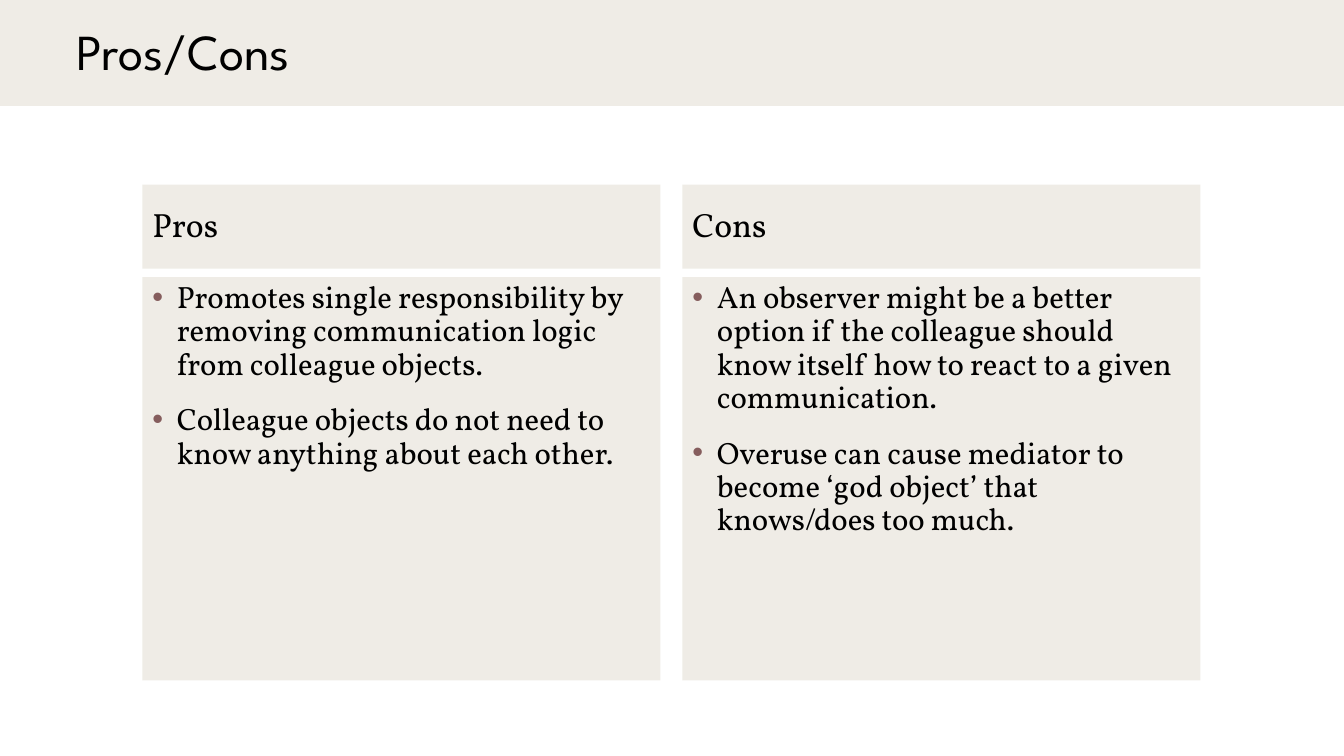
import dataclasses

import pptx
import pptx.dml.color
import pptx.enum.shapes
import pptx.enum.text
import pptx.oxml
import pptx.oxml.ns
import pptx.util

Pt = pptx.util.Pt
RGB = pptx.dml.color.RGBColor.from_string
ANCHOR = pptx.enum.text.MSO_ANCHOR
NS = pptx.oxml.ns.nsdecls("a")


@dataclasses.dataclass(frozen=True)
class Theme:
    panel: str = "E9E5DC"
    panel_alpha: int = 70000
    ink: str = "000000"
    bullet: str = "855D5D"
    title_font: str = "League Spartan"
    body_font: str = "Vollkorn"
    title_size: int = 36
    heading_size: int = 24
    body_size: int = 22


class Deck:
    """Hold the theme and the current slide, and draw elements on it."""

    def __init__(self, prs, theme):
        self.theme = theme
        self.s = prs.slides.add_slide(prs.slide_layouts[6])

    def panel(self, x, y, w, h):
        sp = self.s.shapes.add_shape(
            pptx.enum.shapes.MSO_SHAPE.RECTANGLE, Pt(x), Pt(y), Pt(w), Pt(h))
        sp.shadow.inherit = False
        sp.line.fill.background()
        sp.fill.solid()
        sp.fill.fore_color.rgb = RGB(self.theme.panel)
        color = sp.fill._xPr.find(".//" + pptx.oxml.ns.qn("a:srgbClr"))
        color.append(pptx.oxml.parse_xml(
            f'<a:alpha {NS} val="{self.theme.panel_alpha}"/>'))
        return sp

    def textbox(self, x, y, w, h):
        return self.s.shapes.add_textbox(Pt(x), Pt(y), Pt(w), Pt(h))

    def text(self, sp, *lines, size, font, anchor=ANCHOR.MIDDLE,
             bullets=False, before=0):
        tf = sp.text_frame
        tf.word_wrap = True
        tf.vertical_anchor = anchor
        for i, line in enumerate(lines):
            p = tf.add_paragraph() if i else tf.paragraphs[0]
            p.alignment = pptx.enum.text.PP_ALIGN.LEFT
            p.line_spacing = 0.9
            p.space_before = Pt(before)
            if bullets:
                self.bullet(p)
            r = p.add_run()
            r.text = line
            r.font.name = font
            r.font.size = Pt(size)
            r.font.color.rgb = RGB(self.theme.ink)

    def bullet(self, p, indent=17.5):
        pPr = p._p.get_or_add_pPr()
        pPr.set("marL", str(Pt(indent)))
        pPr.set("indent", str(-Pt(indent)))
        for xml in (
            f'<a:buClr {NS}><a:srgbClr val="{self.theme.bullet}"/></a:buClr>',
            f'<a:buFont {NS} typeface="Arial"/>',
            f'<a:buChar {NS} char="•"/>',
        ):
            pPr.append(pptx.oxml.parse_xml(xml))

    def title(self, text):
        self.panel(0, 0, 960, 75.6)
        self.text(self.textbox(47.5, 0, 911.5, 77.8), text,
                  size=self.theme.title_size, font=self.theme.title_font)

    def column(self, x, heading, points, width=370):
        self.text(self.panel(x, 131.8, width, 60), heading,
                  size=self.theme.heading_size, font=self.theme.body_font)
        self.text(self.panel(x, 198, width, 288), *points,
                  size=self.theme.body_size, font=self.theme.body_font,
                  anchor=ANCHOR.TOP, bullets=True, before=16)


COLUMNS = {
    "Pros": (
        "Promotes single responsibility by removing communication logic "
        "from colleague objects.",
        "Colleague objects do not need to know anything about each other.",
    ),
    "Cons": (
        "An observer might be a better option if the colleague should know "
        "itself how to react to a given communication.",
        "Overuse can cause mediator to become ‘god object’ that knows/does "
        "too much.",
    ),
}


def main():
    prs = pptx.Presentation()
    prs.slide_width, prs.slide_height = Pt(960), Pt(540)
    deck = Deck(prs, Theme())
    deck.title("Pros/Cons")
    for i, (heading, points) in enumerate(COLUMNS.items()):
        deck.column(101.7 + i * 385.8, heading, points)
    prs.save("out.pptx")


if __name__ == "__main__":
    main()
